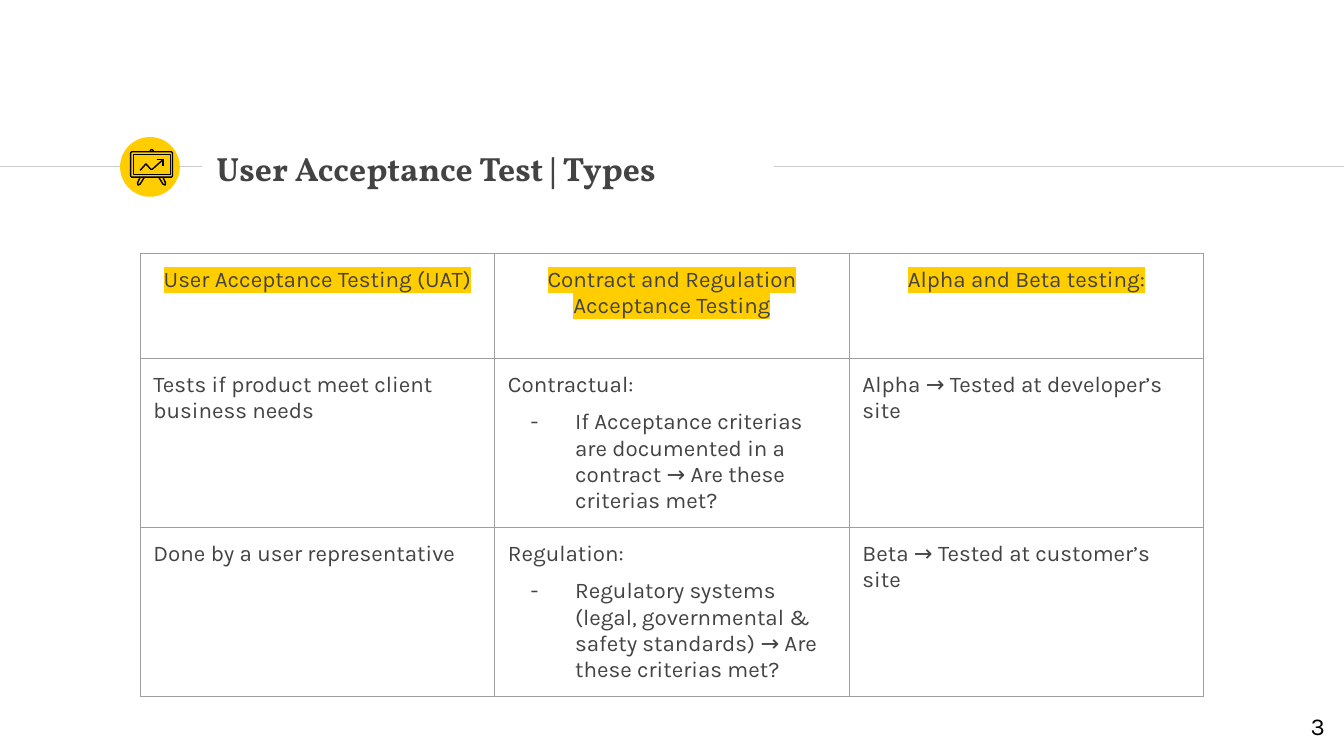
from dataclasses import dataclass

from lxml.etree import SubElement
from pptx import Presentation
from pptx.dml.color import RGBColor
from pptx.enum.shapes import MSO_CONNECTOR, MSO_SHAPE
from pptx.enum.text import MSO_ANCHOR, PP_ALIGN
from pptx.oxml.ns import qn
from pptx.util import Cm, Pt


@dataclass(frozen=True)
class Theme:
    ink: str = "434343"
    black: str = "000000"
    accent: str = "FFCD00"
    rule: str = "CCCCCC"
    border: str = "9E9E9E"
    heading_font: str = "Vollkorn"
    body_font: str = "Karla"
    title_size: int = 18
    body_size: int = 12
    number_size: int = 13
    line_width: float = 0.75
    paragraph_gap: int = 6


@dataclass(frozen=True)
class Box:
    left: float
    top: float
    width: float
    height: float

    def lengths(self):
        return Cm(self.left), Cm(self.top), Cm(self.width), Cm(self.height)


THEME = Theme()
INSET = Cm(0.25)
HEADERS = (
    "User Acceptance Testing (UAT)",
    "Contract and Regulation Acceptance Testing",
    "Alpha and Beta testing:",
)
BODY_ROWS = (
    (
        ("Tests if product meet client business needs",),
        (
            "Contractual:",
            "If Acceptance criterias are documented in a contract → Are these criterias met?",
        ),
        ("Alpha → Tested at developer’s site",),
    ),
    (
        ("Done by a user representative",),
        (
            "Regulation:",
            "Regulatory systems (legal, governmental & safety standards) → Are these criterias met?",
        ),
        ("Beta → Tested at customer’s site",),
    ),
)


def add_color(parent, tag, color):
    SubElement(SubElement(parent, qn(tag)), qn("a:srgbClr"), val=color)


def write_text(para, text, size=THEME.body_size, font=THEME.body_font, color=THEME.ink,
               bold=False, align=PP_ALIGN.LEFT, highlight=None, dash=False, gap=0):
    para.alignment = align
    para.space_before = Pt(gap)
    if dash:
        properties = para._p.get_or_add_pPr()
        properties.set("marL", str(Cm(1.27)))
        properties.set("indent", str(Cm(-0.84)))
        add_color(properties, "a:buClr", color)
        SubElement(properties, qn("a:buFont"), typeface=font)
        SubElement(properties, qn("a:buChar"), char="-")
    span = para.add_run()
    span.text = text
    span.font.size = Pt(size)
    span.font.bold = bold
    span.font.color.rgb = RGBColor.from_string(color)
    span.font.name = font
    if highlight:
        properties = span._r.get_or_add_rPr()
        add_color(properties, "a:highlight", highlight)
        properties.find(qn("a:latin")).addprevious(properties[-1])


def set_frame(frame, anchor):
    frame.word_wrap = True
    frame.vertical_anchor = anchor
    frame.margin_left = frame.margin_right = INSET
    frame.margin_top = frame.margin_bottom = INSET


def add_rule(page, start, end, height):
    rule = page.shapes.add_connector(
        MSO_CONNECTOR.STRAIGHT, Cm(start), Cm(height), Cm(end), Cm(height))
    rule.line.color.rgb = RGBColor.from_string(THEME.rule)
    rule.line.width = Pt(THEME.line_width)
    SubElement(rule._element.spPr, qn("a:effectLst"))


def add_stroke(page, box, points, close=False):
    start, *others = [(Cm(box.left + x), Cm(box.top + y)) for x, y in points]
    builder = page.shapes.build_freeform(*start)
    builder.add_line_segments(others, close=close)
    stroke = builder.convert_to_shape()
    stroke.shadow.inherit = False
    stroke.fill.background()
    stroke.line.color.rgb = RGBColor.from_string(THEME.black)
    stroke.line.width = Pt(THEME.line_width)


def add_board_icon(page, box):
    disc = page.shapes.add_shape(MSO_SHAPE.OVAL, *box.lengths())
    disc.shadow.inherit = False
    disc.fill.solid()
    disc.fill.fore_color.rgb = RGBColor.from_string(THEME.accent)
    disc.line.fill.background()

    leg = ((0.38, 0.76), (0.33, 0.87), (0.34, 0.91), (0.38, 0.89), (0.46, 0.76))
    mirrored_leg = [(1.19 - x, y) for x, y in leg]
    frame = ((0.22, 0.28), (0.97, 0.28), (0.99, 0.3), (0.99, 0.74),
             (0.97, 0.76), (0.22, 0.76), (0.2, 0.74), (0.2, 0.3))
    screen = ((0.25, 0.33), (0.95, 0.33), (0.95, 0.71), (0.25, 0.71))
    knob = ((0.57, 0.28), (0.57, 0.26), (0.59, 0.24), (0.61, 0.24), (0.63, 0.26), (0.63, 0.28))
    trend = ((0.38, 0.63), (0.49, 0.51), (0.58, 0.61), (0.61, 0.61), (0.81, 0.43))
    trend_head = ((0.69, 0.43), (0.81, 0.43), (0.81, 0.54))
    add_stroke(page, box, frame, close=True)
    for points in (knob, leg, mirrored_leg):
        add_stroke(page, box, points)
    add_stroke(page, box, screen, close=True)
    for points in (trend, trend_head):
        add_stroke(page, box, points)


def add_heading(page, box, text):
    title = page.shapes.title
    title.left, title.top, title.width, title.height = box.lengths()
    set_frame(title.text_frame, MSO_ANCHOR.MIDDLE)
    write_text(title.text_frame.paragraphs[0], text, size=THEME.title_size,
               font=THEME.heading_font, bold=True)


def add_page_number(page, box, text):
    number = page.shapes.add_textbox(*box.lengths())
    set_frame(number.text_frame, MSO_ANCHOR.TOP)
    write_text(number.text_frame.paragraphs[0], text, size=THEME.number_size,
               color=THEME.black, align=PP_ALIGN.RIGHT)


def format_cell(cell):
    cell.margin_left = cell.margin_right = INSET
    cell.margin_top = cell.margin_bottom = INSET
    cell.vertical_anchor = MSO_ANCHOR.TOP
    properties = cell._tc.get_or_add_tcPr()
    for side in ("a:lnL", "a:lnR", "a:lnT", "a:lnB"):
        border = SubElement(properties, qn(side), w=str(Pt(THEME.line_width)))
        add_color(border, "a:solidFill", THEME.border)
    cell.fill.background()


def add_types_table(page, box, header_height):
    table = page.shapes.add_table(1 + len(BODY_ROWS), len(HEADERS), *box.lengths()).table
    table.horz_banding = False
    table.first_row = False
    for column in table.columns:
        column.width = Cm(box.width / len(HEADERS))
    body_height = (box.height - header_height) / len(BODY_ROWS)
    for index, row in enumerate(table.rows):
        row.height = Cm(body_height if index else header_height)
    for cell in table.iter_cells():
        format_cell(cell)
    for column, text in enumerate(HEADERS):
        write_text(table.cell(0, column).text_frame.paragraphs[0], text,
                   align=PP_ALIGN.CENTER, highlight=THEME.accent)
    for row, entries in enumerate(BODY_ROWS, start=1):
        for column, (lead, *details) in enumerate(entries):
            frame = table.cell(row, column).text_frame
            write_text(frame.paragraphs[0], lead)
            for detail in details:
                write_text(frame.add_paragraph(), detail, dash=True, gap=THEME.paragraph_gap)


def main():
    deck = Presentation()
    deck.slide_width, deck.slide_height = Cm(25.4), Cm(14.29)
    page = deck.slides.add_slide(deck.slide_layouts[5])
    for start, end in ((0, 3.81), (14.63, 25.4)):
        add_rule(page, start, end, 3.15)
    add_board_icon(page, Box(2.27, 2.59, 1.13, 1.13))
    add_heading(page, Box(3.84, 2.57, 10.77, 1.22), "User Acceptance Test | Types")
    add_types_table(page, Box(2.65, 4.79, 20.1, 8.38), 1.99)
    add_page_number(page, Box(23.77, 13.19, 1.52, 1.09), "3")
    deck.save("out.pptx")


if __name__ == "__main__":
    main()
